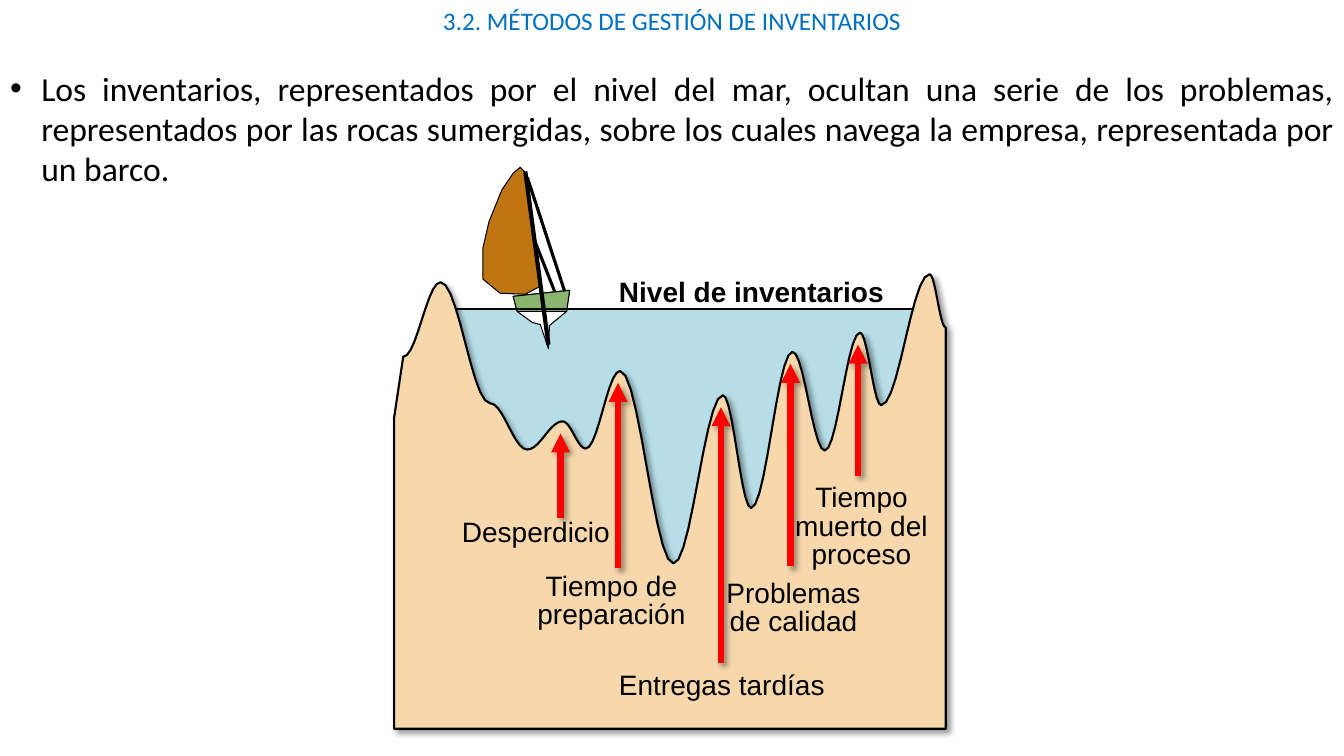
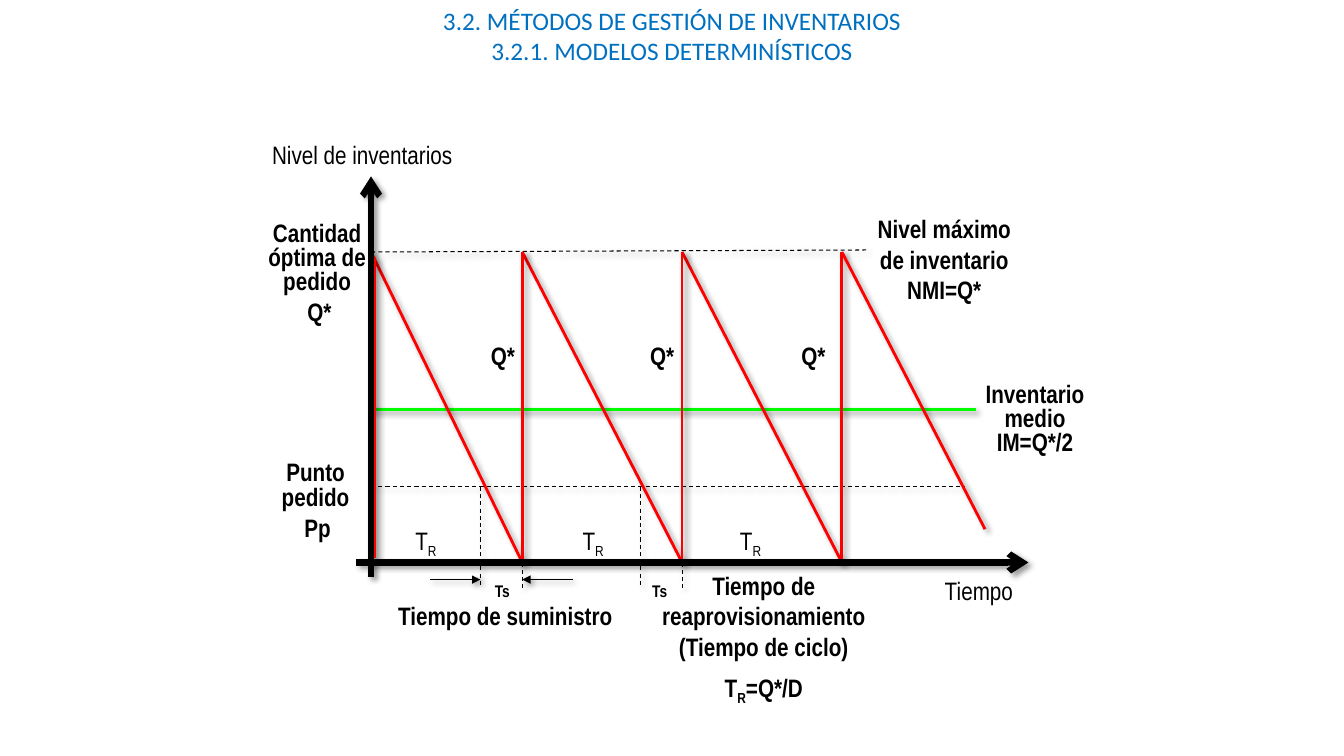
"""Build two slides on inventory management, laid out on a grid of tenth-inch cells."""
from dataclasses import dataclass, replace
from itertools import chain, pairwise
from math import cos, pi
from typing import Any, Optional

from lxml.etree import SubElement
from pptx import Presentation
from pptx.dml.color import RGBColor
from pptx.enum.dml import MSO_LINE
from pptx.enum.shapes import MSO_CONNECTOR
from pptx.enum.text import MSO_ANCHOR, MSO_AUTO_SIZE, PP_ALIGN as Align
from pptx.oxml.ns import qn
from pptx.util import Emu, Inches, Pt

BLACK = RGBColor.from_string("000000")
WHITE = RGBColor.from_string("FFFFFF")
TITLE_BLUE = RGBColor.from_string("0070C0")
WATER_BLUE = RGBColor.from_string("B7DEE8")
SAIL_BROWN = RGBColor.from_string("BF7512")
HULL_GREEN = RGBColor.from_string("89B56E")
ROCK_SAND = RGBColor.from_string("F7D7AC")
RED = RGBColor.from_string("FF0000")
GREEN = RGBColor.from_string("00FF00")

CELL = Inches(0.1)
COLUMNS, ROWS = 133.3, 75
CURVE_STEPS = 10
INDENT = 3.1
SECTION = "3.2. MÉTODOS DE GESTIÓN DE INVENTARIOS"

Point = tuple[float, float]


@dataclass(frozen=True)
class TextStyle:
    font: str
    size: float
    color: RGBColor = BLACK
    bold: bool = False
    align: Align = Align.LEFT
    spacing: Optional[float] = None
    gap: float = 0


@dataclass(frozen=True)
class Label:
    left: float
    top: float
    width: float
    lines: tuple[str, ...]
    style: TextStyle
    rows: int = 1

    @property
    def height(self) -> float:
        """Return the height of the wrapped rows and the margins in cells."""
        return 1 + self.rows * self.style.size / 6 * (self.style.spacing or 1)


@dataclass(frozen=True)
class Stroke:
    start: Point
    end: Point
    color: RGBColor = BLACK
    width: float = 0.75
    dashed: bool = False
    arrow: str = ""
    shadow: bool = True


@dataclass(frozen=True)
class Outline:
    points: tuple[Point, ...]
    fill: RGBColor
    width: float = 0
    shadow: bool = False


def swell(knots: tuple[Point, ...]) -> tuple[Point, ...]:
    """Join peaks and valleys with half cosine waves."""
    return tuple(
        (x + (next_x - x) * step / CURVE_STEPS,
         y + (next_y - y) * (1 - cos(pi * step / CURVE_STEPS)) / 2)
        for (x, y), (next_x, next_y) in pairwise(knots)
        for step in range(CURVE_STEPS + 1))


TITLE = TextStyle("Calibri", 18, TITLE_BLUE, align=Align.CENTER)
BODY = TextStyle("Calibri", 24, align=Align.JUSTIFY)
LEVEL = TextStyle("Arial", 20, bold=True)
PROBLEM = TextStyle("Arial", 20, align=Align.CENTER, spacing=0.85)
AXIS = TextStyle("Arial Narrow", 18)
STRONG = replace(AXIS, bold=True)
SMALL = replace(STRONG, size=12)
CENTRED = replace(STRONG, align=Align.CENTER, gap=8)
TIGHT = replace(CENTRED, spacing=0.8, gap=0)

SEA_LEVEL = 30.7
ROCK_LEFT, ROCK_RIGHT, ROCK_BOTTOM = 39.1, 93.8, 72.3
PEAKS = ((55.8, 41.8), (61.5, 36.8), (71.7, 39.2), (78.6, 34.9), (85.3, 33))
VALLEYS = ((52.3, 44.6), (58.1, 44.5), (66.8, 55.9), (74.5, 50.4), (81.8, 44.7))
ARROW_ENDS = (51.4, 56.4, 65.8, 56.2, 47.2)
SEABED = swell((
    (40, 35.4), (43.7, 28), (48.6, 40), *chain(*zip(VALLEYS, PEAKS)),
    (87.4, 40.2), (92.2, 27.2), (ROCK_RIGHT, 32.5)))
ROCK = Outline(((ROCK_LEFT, ROCK_BOTTOM), (ROCK_LEFT, 41.4), *SEABED,
                (ROCK_RIGHT, ROCK_BOTTOM)), ROCK_SAND, 1.5, True)
WATER = Outline(((44.8, SEA_LEVEL), (91.2, SEA_LEVEL), (88, 45), (67, 57),
                 (52, 50), (45, 40)), WATER_BLUE)
SAIL = Outline(
    ((52.1, 17.1), (51.6, 16.6), (50.9, 17.2), (49.8, 18.8), (48.5, 22),
     (47.9, 24.6), (47.9, 27.7), (49.6, 29.1), (52.1, 29.2), (53.6, 28.4)),
    SAIL_BROWN, 0.75)
DECK_LINE = ((56.2, 30.9), (56.5, 28.8), (50.9, 29.4), (51.3, 30.9))
HULL = Outline((*DECK_LINE, (52.8, 32), (53.6, 32.2), (54.4, 34.6), (54.5, 32.3)),
               WHITE, 0.75)
HULL_BAND = Outline(DECK_LINE, HULL_GREEN, 0.75)
RIGGING = (
    Stroke((52.3, 17.6), (56, 28.9), width=2.25, shadow=False),
    Stroke((53, 23.8), (55, 28.9), width=2.25, shadow=False),
    Stroke((52.1, 17), (54.4, 34.2), width=3, shadow=False),
    Stroke((44.4, SEA_LEVEL), (92, SEA_LEVEL), width=1.5, shadow=False),
)
PROBLEMS = (
    Label(60.4, 26.7, 28.5, ("Nivel de inventarios",), LEVEL),
    Label(77.1, 47.6, 16.7, ("Tiempo muerto del proceso",), PROBLEM, 3),
    Label(43.7, 51.1, 18.9, ("Desperdicio",), PROBLEM),
    Label(50.8, 56.4, 19.7, ("Tiempo de preparación",), PROBLEM, 2),
    Label(59.3, 66.2, 24.6, ("Entregas tardías",), PROBLEM),
    Label(70.8, 57.1, 15.8, ("Problemas de calidad",), PROBLEM, 2),
)
PROBLEM_ARROWS = tuple(
    Stroke((x - 0.2, end), (x - 0.2, y + 1.2), RED, 4.5, arrow="triangle")
    for (x, y), end in zip(PEAKS, ARROW_ENDS))

PEAK, REORDER, BASE, TICK_END, TICK_ROW = 25, 48.3, 55.8, 58.3, 57.5
ORIGIN = 36.8
ORDERS = tuple(51.8 + 15.85 * index for index in range(3))
CYCLES = (ORIGIN, *ORDERS)
SUPPLY_STARTS = tuple(column - 4.15 for column in ORDERS[:2])
GUIDES = (
    Stroke((ORIGIN, REORDER), (95.7, REORDER), dashed=True),
    Stroke((ORIGIN, PEAK), (85.9, 24.8), dashed=True),
    *(Stroke((column, top), (column, TICK_END), dashed=True)
      for columns, top in ((SUPPLY_STARTS, REORDER), (ORDERS[:2], BASE))
      for column in columns),
    *(Stroke((column + reach, TICK_ROW), (column, TICK_ROW), arrow="triangle")
      for column, reach in ((SUPPLY_STARTS[0], -5), (ORDERS[0], 5))),
)
SAWTOOTH = (
    Stroke((ORIGIN, 40.6), (96.8, 40.6), GREEN, 2),
    *(Stroke((start, PEAK), (end, BASE), RED, 2) for start, end in pairwise(CYCLES)),
    *(Stroke((column, BASE), (column, PEAK), RED, 2) for column in ORDERS),
    Stroke((ORDERS[-1], PEAK), (97.7, 52.5), RED, 2),
    Stroke((ORIGIN, 57.2), (ORIGIN, 17.5), width=4.5, arrow="arrow"),
    Stroke((35.3, BASE), (102, BASE), width=4.5, arrow="arrow"),
    Stroke((37.2, 55.4), (37.2, 25.5), RED, 2),
)
MODEL_LABELS = (
    Label(26, 13.3, 23.3, ("Nivel de inventarios",), AXIS),
    Label(92.7, 56.6, 11.7, ("Tiempo",), AXIS),
    Label(38.5, 59.1, 26.7, ("Tiempo de suministro",), STRONG),
    Label(25.9, 45.2, 10.8, ("Punto pedido",), replace(TIGHT, spacing=0.85), 2),
    Label(26.5, 50.3, 10, ("Pp",), CENTRED),
    Label(25.2, 21.6, 12.5, ("Cantidad óptima de pedido",), TIGHT, 3),
    Label(96.4, 37.6, 12.5, ("Inventario medio", "IM=Q*/2"), TIGHT, 3),
    Label(84.7, 20.7, 17.9, ("Nivel máximo de inventario NMI=Q*",), CENTRED, 3),
    Label(64.4, 56.1, 22.7,
          ("Tiempo de reaprovisionamiento (Tiempo de ciclo)", "T|R|=Q*/D"), CENTRED, 4),
    Label(29.5, 28.9, 5.8, ("Q*",), STRONG),
    *(Label(left, 33.3, 5.8, ("Q*",), STRONG) for left in (47.7, 63.5, 78.5)),
    *(Label(left, 51.6, 5.8, ("T|R",), AXIS) for left in (40.2, 56.8, 72.4)),
    *(Label(left, 57.1, 5, ("Ts",), SMALL) for left in (48.1, 63.7)),
)


def cells(count: float) -> Emu:
    """Turn a number of grid cells into a length."""
    return Emu(round(count * CELL))


def apply(target: Any, values: dict[str, Any]) -> None:
    """Set each named attribute on the target."""
    for name, value in values.items():
        setattr(target, name, value)


def set_shadow(shape: Any, visible: bool) -> None:
    """Replace the theme effects with a soft shadow or with none."""
    effects = SubElement(shape._element.spPr, qn("a:effectLst"))
    if visible:
        shadow = SubElement(effects, qn("a:outerShdw"), blurRad=str(Pt(4)),
                            dist=str(Pt(3)), dir="2700000", algn="tl", rotWithShape="0")
        color = SubElement(shadow, qn("a:srgbClr"), val=str(BLACK))
        SubElement(color, qn("a:alpha"), val="40000")


def write_text(frame: Any, lines: tuple[str, ...], style: TextStyle) -> None:
    """Write paragraphs in which every second piece between bars is a subscript."""
    apply(frame, {"word_wrap": True, "auto_size": MSO_AUTO_SIZE.NONE,
                  "vertical_anchor": MSO_ANCHOR.TOP})
    for index, line in enumerate(lines):
        para = frame.add_paragraph() if index else frame.paragraphs[0]
        apply(para, {"alignment": style.align, "line_spacing": style.spacing,
                     "space_before": Pt(style.gap if index else 0)})
        for position, piece in enumerate(line.split("|")):
            span = para.add_run()
            span.text = piece
            apply(span.font, {"name": style.font, "size": Pt(style.size),
                              "bold": style.bold})
            span.font.color.rgb = style.color
            if position % 2:
                span._r.get_or_add_rPr().set("baseline", "-25000")


def fill_placeholder(box: Any, label: Label) -> None:
    """Move a placeholder to the label's place and write its text."""
    apply(box, {name: cells(getattr(label, name))
                for name in ("left", "top", "width", "height")})
    write_text(box.text_frame, label.lines, label.style)


def draw_label(page: Any, label: Label) -> None:
    """Add a text box."""
    box = page.shapes.add_textbox(*map(cells, (label.left, label.top,
                                               label.width, label.height)))
    write_text(box.text_frame, label.lines, label.style)


def draw_stroke(page: Any, stroke: Stroke) -> None:
    """Add a straight line, dashed or with an arrowhead at its end."""
    connector = page.shapes.add_connector(
        MSO_CONNECTOR.STRAIGHT, *map(cells, (*stroke.start, *stroke.end)))
    connector.line.color.rgb = stroke.color
    connector.line.width = Pt(stroke.width)
    if stroke.dashed:
        connector.line.dash_style = MSO_LINE.DASH
    if stroke.arrow:
        SubElement(connector.line._get_or_add_ln(), qn("a:tailEnd"), type=stroke.arrow)
    set_shadow(connector, stroke.shadow)


def draw_outline(page: Any, outline: Outline) -> None:
    """Add a closed, filled shape."""
    first, *rest = [(cells(x), cells(y)) for x, y in outline.points]
    builder = page.shapes.build_freeform(*first)
    builder.add_line_segments(rest, close=True)
    shape = builder.convert_to_shape()
    shape.fill.solid()
    shape.fill.fore_color.rgb = outline.fill
    if outline.width:
        shape.line.color.rgb = BLACK
        shape.line.width = Pt(outline.width)
    else:
        shape.line.fill.background()
    set_shadow(shape, outline.shadow)


DRAWERS = {Label: draw_label, Stroke: draw_stroke, Outline: draw_outline}


def add_page(deck: Any, layout: int, titles: tuple[str, ...], items: tuple[Any, ...]) -> Any:
    """Add a slide with its title and draw the items from back to front."""
    page = deck.slides.add_slide(deck.slide_layouts[layout])
    fill_placeholder(page.shapes.title, Label(0, 0, COLUMNS, titles, TITLE, len(titles)))
    for item in items:
        DRAWERS[type(item)](page, item)
    return page


def main() -> None:
    """Build and save the deck."""
    deck = Presentation()
    apply(deck, {"slide_width": cells(COLUMNS), "slide_height": cells(ROWS)})
    sea = add_page(deck, 1, (SECTION,), (WATER, SAIL, HULL, HULL_BAND, *RIGGING, ROCK,
                                         *PROBLEMS, *PROBLEM_ARROWS))
    body = sea.placeholders[1]
    fill_placeholder(body, Label(0, 6.2, COLUMNS, (
        "Los inventarios, representados por el nivel del mar, ocultan una serie de los "
        "problemas, representados por las rocas sumergidas, sobre los cuales navega la "
        "empresa, representada por un barco.",), BODY, 3))
    indent = body.text_frame.paragraphs[0]._p.get_or_add_pPr()
    indent.set("marL", str(cells(INDENT)))
    indent.set("indent", str(cells(-INDENT)))
    add_page(deck, 5, (SECTION, "3.2.1. MODELOS DETERMINÍSTICOS"),
             (*GUIDES, *SAWTOOTH, *MODEL_LABELS))
    deck.save("out.pptx")


if __name__ == "__main__":
    main()
